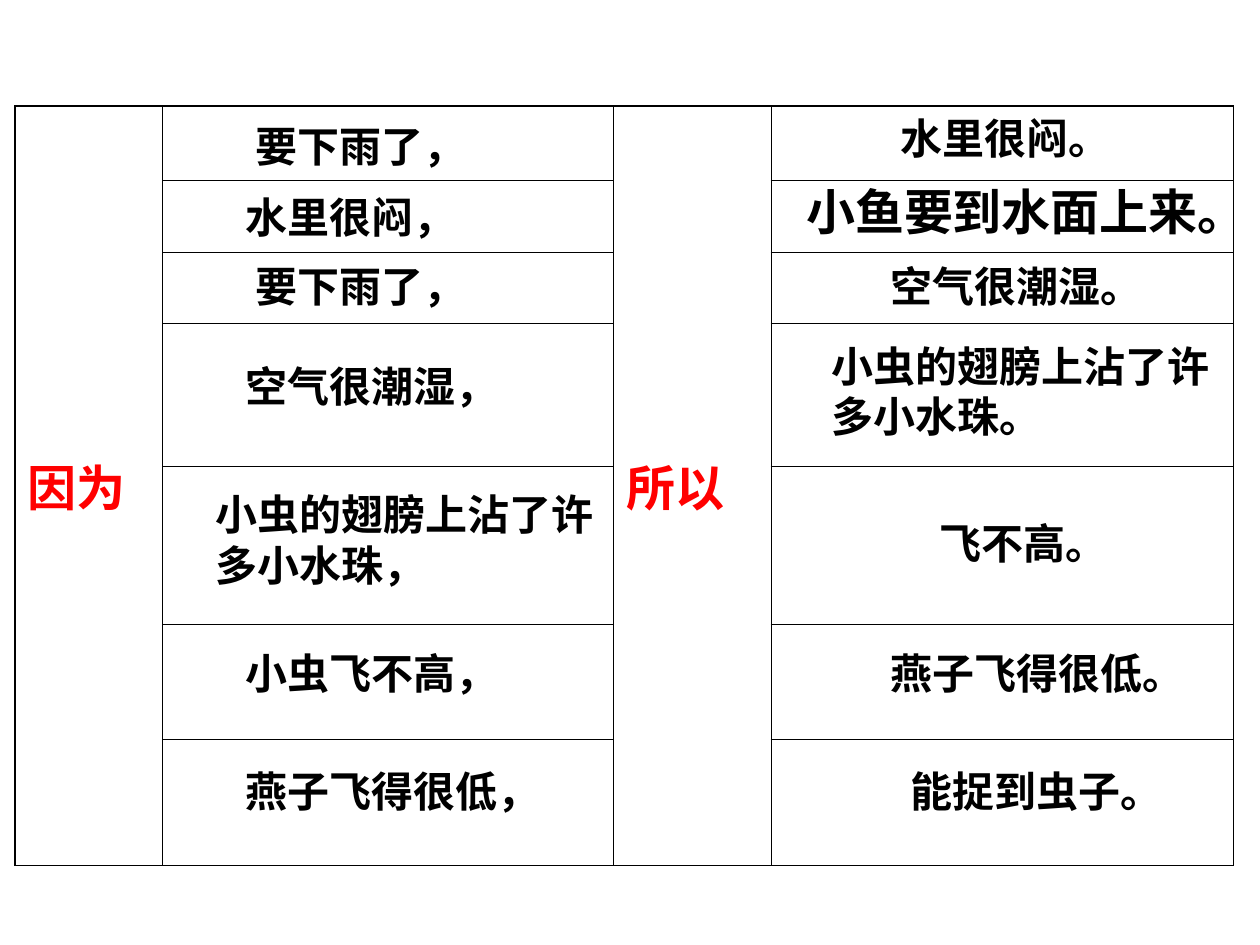
import pptx
import pptx.util
import pptx.dml.color
import pptx.enum.text
import pptx.oxml.ns
import lxml.etree

Inches = pptx.util.Inches
Pt = pptx.util.Pt
BLACK = pptx.dml.color.RGBColor(0, 0, 0)
RED = pptx.dml.color.RGBColor(255, 0, 0)
OUTER, INNER = 1.08, 0.45

COLUMN_WIDTHS = [1.17, 3.58, 1.25, 3.67]
ROW_HEIGHTS = [0.59, 0.57, 0.57, 1.13, 1.26, 0.91, 1]
CONJUNCTIONS = {0: "因为", 2: "所以"}
CLAUSES = [
    ("要下雨了，", 1.93, 0.91, 2.6, 24),
    ("水里很闷，", 1.85, 1.47, 2.52, 24),
    ("小鱼要到水面上来。", 6.3, 1.39, 3.98, 28),
    ("水里很闷。", 7.05, 0.84, 2.28, 24),
    ("要下雨了，", 1.93, 2.02, 2.28, 24),
    ("空气很潮湿。", 6.97, 2.02, 2.68, 24),
    ("空气很潮湿，", 1.85, 2.81, 2.68, 24),
    ("小虫的翅膀上沾了许\n多小水珠。", 6.5, 2.65, 3.5, 24),
    ("小虫的翅膀上沾了许多小水珠，", 1.61, 3.83, 3.23, 24),
    ("飞不高。", 7.36, 4.06, 1.97, 24),
    ("小虫飞不高，", 1.85, 5.09, 2.91, 24),
    ("燕子飞得很低。", 6.97, 5.09, 3.03, 24),
    ("燕子飞得很低，", 1.85, 6.03, 3.31, 24),
    ("能捉到虫子。", 7.13, 6.03, 2.68, 24),
]


def write_text(frame, text, size=24, font="Times New Roman", color=BLACK, bold=True):
    frame.text = text
    frame.word_wrap = True
    for paragraph in frame.paragraphs:
        for run in paragraph.runs:
            run.font.size = Pt(size)
            run.font.name = font
            run.font.bold = bold
            run.font.color.rgb = color


def draw_border(cell, position, side, width):
    qn = pptx.oxml.ns.qn
    line = lxml.etree.Element(qn(f"a:ln{side}"), w=str(Pt(width)))
    if width:
        fill = lxml.etree.SubElement(line, qn("a:solidFill"))
        lxml.etree.SubElement(fill, qn("a:srgbClr"), val=str(BLACK))
    else:
        lxml.etree.SubElement(line, qn("a:noFill"))
    cell._tc.get_or_add_tcPr().insert(position, line)


class SentenceSlide:
    def __init__(self, presentation):
        self.slide = presentation.slides.add_slide(presentation.slide_layouts[6])

    def add_grid(self, left, top, widths, heights, merged):
        grid = self.slide.shapes.add_table(
            len(heights), len(widths), Inches(left), Inches(top),
            Inches(sum(widths)), Inches(sum(heights))).table
        grid.first_row = grid.horz_banding = False
        for column, width in zip(grid.columns, widths):
            column.width = Inches(width)
        for row, height in zip(grid.rows, heights):
            row.height = Inches(height)
        last_row, last_column = len(heights) - 1, len(widths) - 1
        for r in range(len(heights)):
            for c in range(len(widths)):
                cell = grid.cell(r, c)
                cell.fill.background()
                between_rows = 0 if c in merged else INNER
                borders = {
                    "L": OUTER if c == 0 else INNER,
                    "R": OUTER if c == last_column else INNER,
                    "T": OUTER if r == 0 else between_rows,
                    "B": OUTER if r == last_row or (r == 0 and c in merged) else between_rows,
                }
                for position, (side, width) in enumerate(borders.items()):
                    draw_border(cell, position, side, width)
        for c, conjunction in merged.items():
            cell = grid.cell(0, c)
            cell.merge(grid.cell(last_row, c))
            cell.vertical_anchor = pptx.enum.text.MSO_ANCHOR.MIDDLE
            write_text(cell.text_frame, conjunction, size=28, font="Arial", color=RED)

    def add_clause(self, text, left, top, width, size):
        line_height = 0.57 if size == 28 else 0.5
        height = 0.9 if len(text) > 9 else line_height
        frame = self.slide.shapes.add_textbox(
            Inches(left), Inches(top), Inches(width), Inches(height)).text_frame
        write_text(frame, text, size=size)
        frame.auto_size = pptx.enum.text.MSO_AUTO_SIZE.SHAPE_TO_FIT_TEXT


def main():
    presentation = pptx.Presentation()
    presentation.slide_width = Inches(10)
    presentation.slide_height = Inches(7.5)
    sentences = SentenceSlide(presentation)
    sentences.add_grid(0.12, 0.84, COLUMN_WIDTHS, ROW_HEIGHTS, CONJUNCTIONS)
    for clause in CLAUSES:
        sentences.add_clause(*clause)
    presentation.save("out.pptx")


if __name__ == "__main__":
    main()
